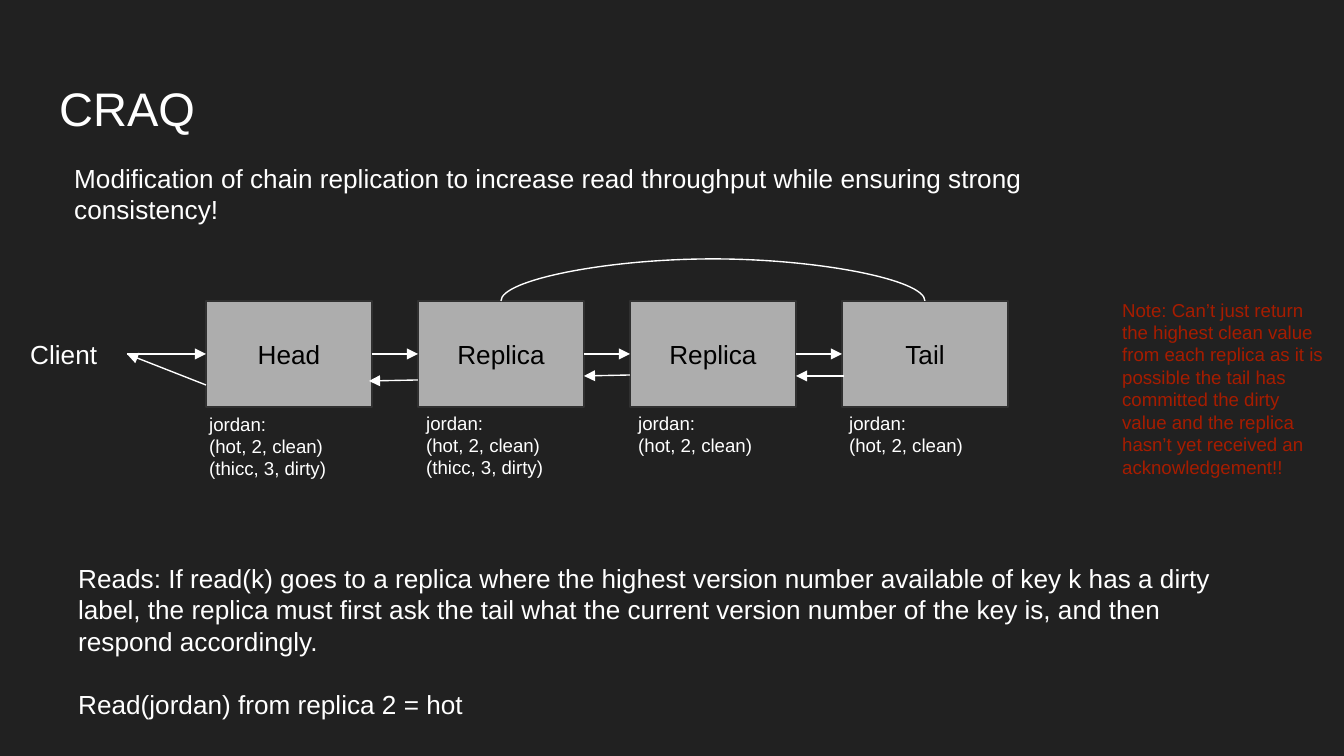
from pptx import Presentation
from pptx.dml.color import RGBColor
from pptx.enum.shapes import MSO_CONNECTOR, MSO_SHAPE
from pptx.enum.text import MSO_ANCHOR, PP_ALIGN
from pptx.oxml.ns import qn
from pptx.util import Emu, Inches, Pt
from lxml.etree import SubElement

# Content, with lengths in px
COLORS = {"background": "212121", "node": "ADADAD", "border": "303030",
          "light": "FFFFFF", "dark": "000000", "note": "A61C00"}
TITLE = "CRAQ"
SUMMARY = ("Modification of chain replication to increase read throughput "
           "while ensuring strong consistency!")
HOT, THICC = "(hot, 2, clean)", "(thicc, 3, dirty)"
# Name, left edge and top of the stored values, stored values
CHAIN = [
    ("Head", 196, 399, ["jordan:", HOT, THICC]),
    ("Replica", 413, 398, ["jordan:", HOT, THICC]),
    ("Replica", 625, 398, ["jordan:", HOT]),
    ("Tail", 836, 398, ["jordan:", HOT]),
]
ACKNOWLEDGEMENTS = [
    ((844, 376), (796, 376)),
    ((630, 375), (584, 376)),
    ((418, 380), (369, 381)),
    ((206, 385), (127, 354)),
]
READS = [
    "Reads: If read(k) goes to a replica where the highest version number "
    "available of key k has a dirty label, the replica must first ask the tail "
    "what the current version number of the key is, and then respond accordingly.",
    "Read(jordan) from replica 2 = hot",
]
NOTE = ("Note: Can’t just return the highest clean value from each replica as it "
        "is possible the tail has committed the dirty value and the replica "
        "hasn’t yet received an acknowledgement!!")

NODE_LEFT, NODE_TOP, NODE_WIDTH, NODE_HEIGHT, NODE_PITCH = 206, 301, 166, 106, 212
TOP, LEFT, RIGHT = 0, 1, 3
ARC_DEPTH = 600  # EMU; the curve's bulge is a multiple of this
ARC_BULGE = -39687500


def px(length):
    return Emu(round(length * 914400 / 134.4))


def color(name):
    return RGBColor.from_string(COLORS[name])


def write(shape, text, size=14, ink="light", align=PP_ALIGN.LEFT,
          anchor=MSO_ANCHOR.TOP, gap=0):
    frame = shape.text_frame
    frame.word_wrap = True
    frame.vertical_anchor = anchor
    frame.margin_left = frame.margin_right = Inches(0.1)
    frame.margin_top = frame.margin_bottom = Inches(0.1)
    lines = [text] if isinstance(text, str) else text
    for index, line in enumerate(lines):
        paragraph = frame.add_paragraph() if index else frame.paragraphs[0]
        paragraph.alignment = align
        if index and gap:
            paragraph.space_before = Pt(gap)
        run = paragraph.add_run()
        run.text = line
        run.font.name = "Arial"
        run.font.size = Pt(size)
        run.font.color.rgb = color(ink)
    return shape


def add_text(box, text, **style):
    return write(slide.shapes.add_textbox(*map(px, box)), text, **style)


def add_line(start=(0, 0), end=(0, 0), kind=MSO_CONNECTOR.STRAIGHT, arrow=True):
    line = slide.shapes.add_connector(kind, *map(px, (*start, *end)))
    line.line.color.rgb = color("light")
    line.line.width = Pt(0.75)
    properties = line.element.spPr
    if arrow:
        SubElement(properties.find(qn("a:ln")), qn("a:tailEnd"), type="triangle")
    SubElement(properties, qn("a:effectLst"))
    return line


presentation = Presentation()
presentation.slide_width, presentation.slide_height = px(1344), px(756)
slide = presentation.slides.add_slide(presentation.slide_layouts[6])
slide.background.fill.solid()
slide.background.fill.fore_color.rgb = color("background")

# Heading
add_text((46, 66, 1252, 85), TITLE, size=25.2)
add_text((61, 149, 1093, 90), SUMMARY)

# Client and chain of nodes
client = add_text((17, 325, 110, 58), "Client")
nodes = []
for index, (name, values_left, values_top, values) in enumerate(CHAIN):
    node = slide.shapes.add_shape(
        MSO_SHAPE.RECTANGLE, px(NODE_LEFT + index * NODE_PITCH), px(NODE_TOP),
        px(NODE_WIDTH), px(NODE_HEIGHT))
    node.shadow.inherit = False
    node.fill.solid()
    node.fill.fore_color.rgb = color("node")
    node.line.color.rgb = color("border")
    node.line.width = Pt(0.75)
    write(node, name, ink="dark", align=PP_ALIGN.CENTER, anchor=MSO_ANCHOR.MIDDLE)
    nodes.append(node)
    add_text((values_left, values_top, 190, 27 + 23 * len(values)), values, size=10)

# Writes pass down the chain
for sender, receiver in zip([client, *nodes], nodes):
    write_arrow = add_line()
    write_arrow.begin_connect(sender, RIGHT)
    write_arrow.end_connect(receiver, LEFT)

# Acknowledgements pass back to the client
for start, end in ACKNOWLEDGEMENTS:
    acknowledgement = add_line(start, end)
acknowledgement.end_connect(client, RIGHT)

# Version query from the first replica to the tail, a curve turned on its side
replica, tail = nodes[1], nodes[-1]
query = add_line(kind=MSO_CONNECTOR.CURVE, arrow=False)
query.begin_connect(replica, TOP)
query.end_connect(tail, TOP)
span = tail.left - replica.left
query.left = Emu(replica.left + replica.width // 2 + span // 2 - ARC_DEPTH // 2)
query.top = Emu(replica.top - span // 2)
query.width, query.height = Emu(ARC_DEPTH), Emu(span)
frame = query.element.spPr.find(qn("a:xfrm"))
frame.set("rot", "16200000")
frame.set("flipH", "1")
adjustments = query.element.spPr.find(qn("a:prstGeom")).find(qn("a:avLst"))
SubElement(adjustments, qn("a:gd"), name="adj1", fmla=f"val {ARC_BULGE}")

# Explanations
add_text((65, 549, 1173, 185), READS, gap=17)
add_text((1109, 285, 227, 208), NOTE, size=10, ink="note")

presentation.save("out.pptx")
